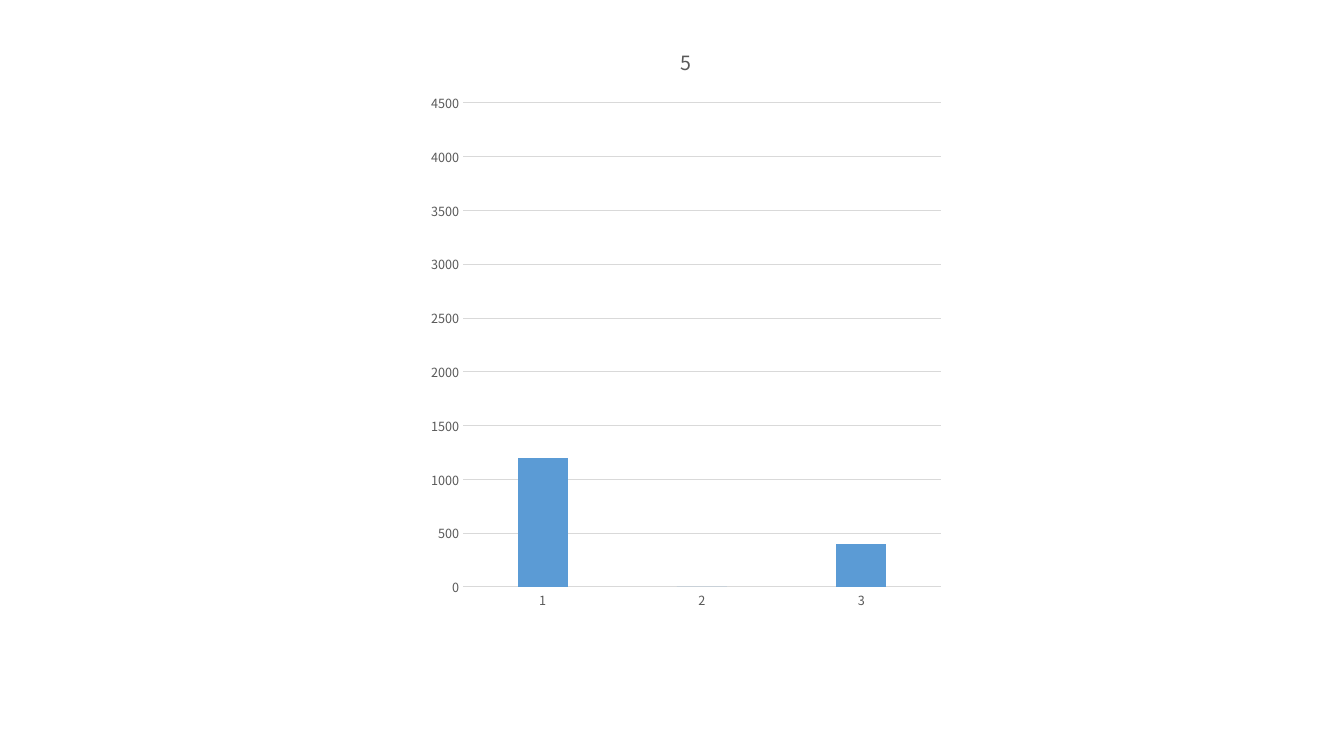
from lxml import etree
from pptx import Presentation
from pptx.chart.data import CategoryChartData
from pptx.dml.color import RGBColor
from pptx.enum.chart import XL_CHART_TYPE as ChartType, XL_TICK_MARK as Tick
from pptx.oxml.ns import qn
from pptx.util import Pt

PX = 9071  # EMU per pixel, 100.8 pixels to the inch
FONT = "Noto Sans CJK JP"
COLORS = {"bar": "5B9BD5", "text": "595959", "line": "D9D9D9"}

TITLE = "5"
BARS = {"1": 1200, "2": 0, "3": 400}
AXIS_MAX, AXIS_STEP = 4500, 500
CHART_BOX = (420, 24, 532, 596)
PLOT_BOX = (463, 103, 478, 484)


def style_font(font, size):
    """Give a font the chart's face, colour and a size."""
    font.name, font.size, font.bold = FONT, Pt(size), False
    font.color.rgb = RGBColor.from_string(COLORS["text"])


def style_line(line):
    """Draw a thin grey line."""
    line.width = Pt(0.75)
    line.color.rgb = RGBColor.from_string(COLORS["line"])


def place_plot(chart):
    """Fix the inner plot area at PLOT_BOX inside the chart."""
    area = chart.plots[0]._element.getparent()
    for old in area.findall(qn("c:layout")):
        area.remove(old)
    layout = etree.Element(qn("c:layout"))
    manual = etree.SubElement(layout, qn("c:manualLayout"))
    left, top, width, height = CHART_BOX
    x, y, w, h = PLOT_BOX
    settings = {
        "layoutTarget": "inner", "xMode": "edge", "yMode": "edge",
        "x": (x - left) / width, "y": (y - top) / height,
        "w": w / width, "h": h / height,
    }
    for tag, value in settings.items():
        etree.SubElement(manual, qn(f"c:{tag}")).set("val", str(value))
    area.insert(0, layout)


def add_bar_chart(slide):
    """Add the column chart with its title and axes."""
    data = CategoryChartData()
    data.categories = list(BARS)
    data.add_series("Series 1", list(BARS.values()))
    box = [n * PX for n in CHART_BOX]
    chart = slide.shapes.add_chart(ChartType.COLUMN_CLUSTERED, *box, data).chart
    style_font(chart.font, 9)
    chart.has_legend = False
    chart.has_title = True
    r = chart.chart_title.text_frame.paragraphs[0].add_run()
    r.text = TITLE
    style_font(r.font, 14)
    chart.chart_title.include_in_layout = False

    plot = chart.plots[0]
    plot.gap_width, plot.overlap, plot.vary_by_categories = 219, -27, False
    fill = plot.series[0].format.fill
    fill.solid()
    fill.fore_color.rgb = RGBColor.from_string(COLORS["bar"])

    for axis in (chart.category_axis, chart.value_axis):
        axis.major_tick_mark = axis.minor_tick_mark = Tick.NONE
        style_font(axis.tick_labels.font, 9)
    style_line(chart.category_axis.format.line)
    values = chart.value_axis
    values.minimum_scale, values.maximum_scale = 0, AXIS_MAX
    values.major_unit = AXIS_STEP
    values.format.line.fill.background()
    style_line(values.major_gridlines.format.line)
    place_plot(chart)


prs = Presentation()
prs.slide_width, prs.slide_height = 1344 * PX, 756 * PX
slide = prs.slides.add_slide(prs.slide_layouts[6])
add_bar_chart(slide)
prs.save("out.pptx")
